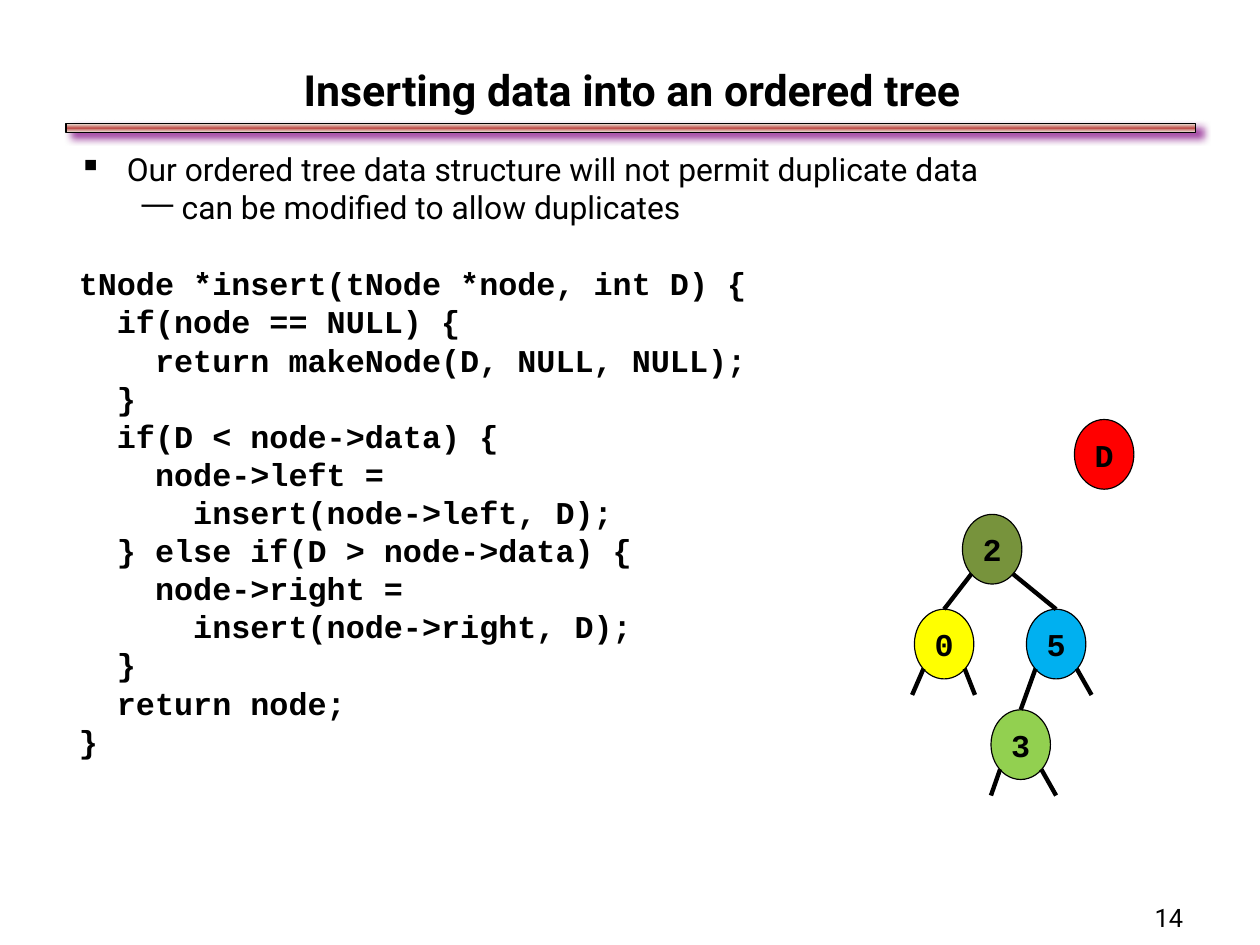
from lxml import etree
from pptx import Presentation
from pptx.dml.color import RGBColor
from pptx.enum.shapes import MSO_CONNECTOR, MSO_SHAPE
from pptx.enum.text import MSO_ANCHOR, PP_ALIGN
from pptx.oxml import parse_xml
from pptx.oxml.ns import nsdecls, qn
from pptx.util import Inches, Pt

BLACK = RGBColor(0, 0, 0)
CREAM = RGBColor(0xEE, 0xEC, 0xE1)
BRICK = RGBColor(0xC0, 0x50, 0x4D)
PURPLE = RGBColor(0x80, 0x00, 0x80)
OLIVE = RGBColor(0x77, 0x93, 0x3C)
YELLOW = RGBColor(0xFF, 0xFF, 0x00)
GREEN = RGBColor(0x92, 0xD0, 0x50)
BLUE = RGBColor(0x00, 0xB0, 0xF0)
RED = RGBColor(0xFF, 0x00, 0x00)

SANS, MONO = "Roboto", "Courier New"
CM_PER_INCH = 2.54
NODE_W, NODE_H = 0.52, 0.61
STEM_INSET, STEM_DROP = 0.08, 0.52

POINTS = [
    ("▪", 0.42, -0.42, "Our ordered tree data structure will not permit duplicate data"),
    ("—", 0.9, -0.35, "can be modified to allow duplicates"),
]
CODE = """tNode *insert(tNode *node, int D) {
  if(node == NULL) {
    return makeNode(D, NULL, NULL);
  }
  if(D < node->data) {
    node->left =
      insert(node->left, D);
  } else if(D > node->data) {
    node->right =
      insert(node->right, D);
  }
  return node;
}"""
NODES = {
    "2": (0.44, 0.83, OLIVE),
    "0": (0.02, 1.66, YELLOW),
    "3": (0.69, 2.54, GREEN),
    "5": (1.0, 1.66, BLUE),
    "D": (1.42, 0, RED),
}
BRANCHES = [("2", "left", "0"), ("2", "right", "5"), ("5", "left", "3")]
EMPTY_BRANCHES = [
    ("0", "left", -0.1), ("0", "right", 0.09), ("5", "right", 0.13),
    ("3", "left", -0.08), ("3", "right", 0.13),
]


def style_font(font, name, size, bold=False):
    for attribute, value in {"name": name, "size": Pt(size), "bold": bold}.items():
        setattr(font, attribute, value)
    font.color.rgb = BLACK


def add_frame(slide, box, anchor=MSO_ANCHOR.TOP):
    frame = slide.shapes.add_textbox(*map(Inches, box)).text_frame
    settings = {
        "word_wrap": True, "vertical_anchor": anchor,
        "margin_left": Inches(0.11), "margin_right": Inches(0.11),
        "margin_top": Inches(0.06), "margin_bottom": Inches(0.06),
    }
    for attribute, value in settings.items():
        setattr(frame, attribute, value)
    return frame


def add_label(slide, box, text, size, align, bold=False, anchor=MSO_ANCHOR.TOP):
    label = add_frame(slide, box, anchor).paragraphs[0]
    label.text = text
    label.alignment = align
    style_font(label.font, SANS, size, bold)


def add_rule(slide, box):
    rule = slide.shapes.add_shape(MSO_SHAPE.RECTANGLE, *map(Inches, box))
    rule.shadow.inherit = False
    rule.fill.gradient()
    rule.fill.gradient_angle = 90
    stops = rule._element.spPr.find(".//" + qn("a:gsLst"))
    for stop in list(stops):
        stops.remove(stop)
    for percent, color in ((0, CREAM), (50, BRICK), (100, CREAM)):
        stops.append(parse_xml(
            f'<a:gs {nsdecls("a")} pos="{percent * 1000}"><a:srgbClr val="{color}"/></a:gs>'))
    rule.line.color.rgb = BLACK
    rule.line.width = Pt(1)
    rule._element.spPr.find(qn("a:effectLst")).append(parse_xml(
        f'<a:outerShdw {nsdecls("a")} blurRad="{Pt(5)}" dist="{Pt(5)}" dir="{37 * 60000}" '
        f'algn="ctr" rotWithShape="0"><a:srgbClr val="{PURPLE}">'
        f'<a:alpha val="75000"/></a:srgbClr></a:outerShdw>'))


def add_bullet(paragraph, mark, margin, indent):
    properties = paragraph._p.get_or_add_pPr()
    properties.set("marL", str(Inches(margin)))
    properties.set("indent", str(Inches(indent)))
    color = etree.SubElement(properties, qn("a:buClr"))
    etree.SubElement(color, qn("a:srgbClr"), val=str(BLACK))
    etree.SubElement(properties, qn("a:buChar"), char=mark)


def add_body(slide, box):
    frame = add_frame(slide, box)
    frame.text = "\n".join([text for *_, text in POINTS] + [CODE])
    for level, (point, (mark, margin, indent, _)) in enumerate(zip(frame.paragraphs, POINTS)):
        point.line_spacing = Pt(24)
        point.level = level
        add_bullet(point, mark, margin, indent)
        style_font(point.font, SANS, 20)
    code_lines = frame.paragraphs[len(POINTS):]
    for code_line in code_lines:
        code_line.line_spacing = Pt(24)
        style_font(code_line.font, MONO, 20, True)
    code_lines[0].space_before = Pt(24)


def add_node(slide, left, top, text, color):
    node = slide.shapes.add_shape(
        MSO_SHAPE.OVAL, *map(Inches, (left, top, NODE_W, NODE_H)))
    node.shadow.inherit = False
    node.fill.solid()
    node.fill.fore_color.rgb = color
    node.line.color.rgb = BLACK
    node.line.width = Pt(0.75)
    frame = node.text_frame
    frame.word_wrap = False
    frame.vertical_anchor = MSO_ANCHOR.MIDDLE
    value = frame.paragraphs[0]
    value.text = text
    value.alignment = PP_ALIGN.CENTER
    style_font(value.font, MONO, 20, True)
    return node


def add_branch(slide, start, end):
    branch = slide.shapes.add_connector(
        MSO_CONNECTOR.STRAIGHT, *map(Inches, (*start, *end)))
    branch.line.color.rgb = BLACK
    branch.line.width = Pt(2.75)
    etree.SubElement(branch._element.spPr, qn("a:effectLst"))
    return branch


def add_tree(slide, box):
    left, top, *_ = box
    nodes = {text: add_node(slide, left + x, top + y, text, color)
             for text, (x, y, color) in NODES.items()}

    def stem(parent, side):
        x, y, _ = NODES[parent]
        across = STEM_INSET if side == "left" else NODE_W - STEM_INSET
        return left + x + across, top + y + STEM_DROP

    for parent, side, child in BRANCHES:
        x, y, _ = NODES[child]
        child_top = (left + x + NODE_W / 2, top + y)
        add_branch(slide, stem(parent, side), child_top).end_connect(nodes[child], 0)
    for parent, side, run in EMPTY_BRANCHES:
        x, y = stem(parent, side)
        add_branch(slide, (x, y), (x + run, y + 0.23))


def main():
    deck = Presentation()
    deck.slide_width = Inches(28 / CM_PER_INCH)
    deck.slide_height = Inches(21 / CM_PER_INCH)
    slide = deck.slides.add_slide(deck.slide_layouts[6])
    add_rule(slide, (0.58, 1.08, 9.88, 0.08))
    add_body(slide, (0.58, 1.25, 9.87, 6.5))
    add_label(slide, (8.17, 7.83, 2.29, 0.57), "14", 16, PP_ALIGN.RIGHT)
    add_label(slide, (0.58, 0.5, 9.9, 0.57), "Inserting data into an ordered tree",
              27, PP_ALIGN.CENTER, True, MSO_ANCHOR.MIDDLE)
    add_tree(slide, (7.98, 3.67, 1.94, 3.3))
    deck.save("out.pptx")


if __name__ == "__main__":
    main()
